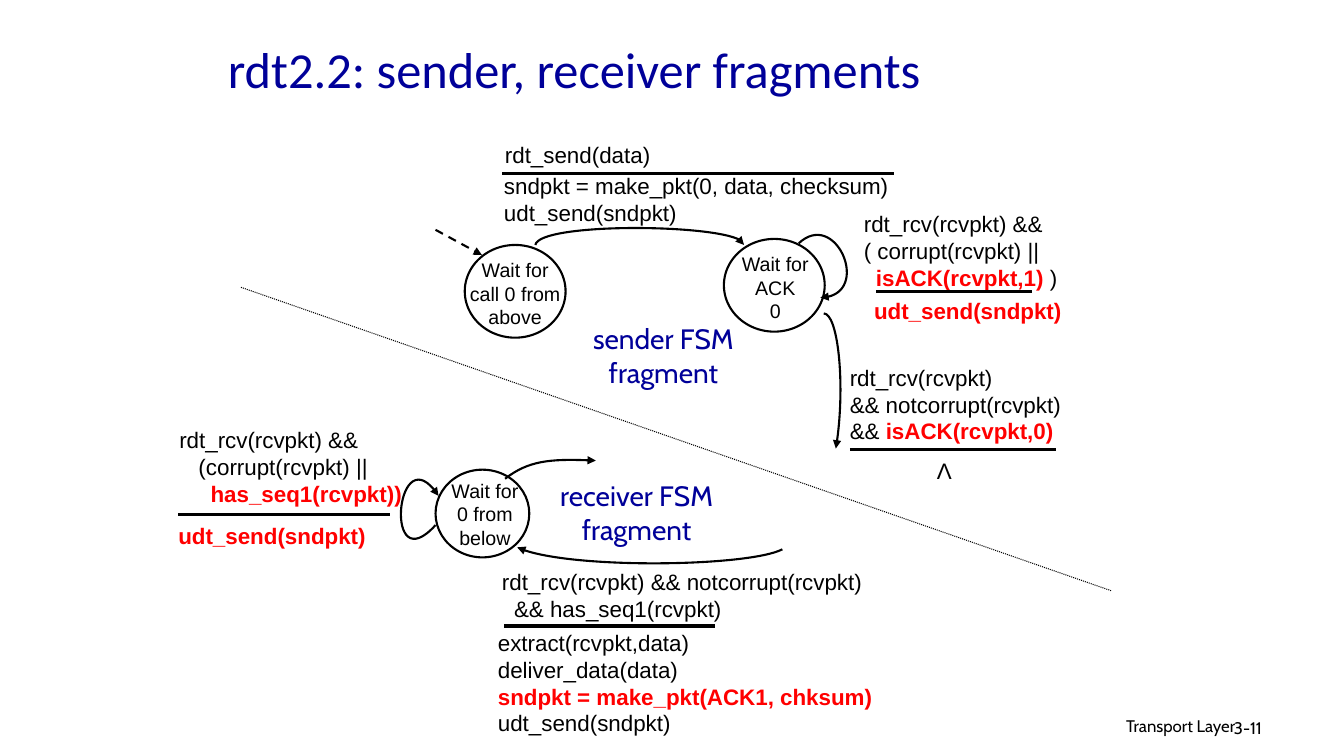
from lxml import etree
from pptx import Presentation
from pptx import util as u
from pptx.dml.color import RGBColor
from pptx.enum import dml, shapes, text
from pptx.oxml.ns import qn

PX = 9144  # EMU per px, 100 px to the inch
BLACK, WHITE, RED, NAVY = "000000", "FFFFFF", "FF0000", "000099"
LEFT, CENTER, RIGHT = text.PP_ALIGN.LEFT, text.PP_ALIGN.CENTER, text.PP_ALIGN.RIGHT


def px(*lengths):
    return [u.Emu(length * PX) for length in lengths]


def rgb(color):
    return RGBColor.from_string(color)


def write(frame, lines, size=16, font="Arial", color=BLACK, align=LEFT, indents=()):
    """Fill a frame line by line; parts between ** marks are bold red."""
    for index, line in enumerate(lines):
        paragraph = frame.paragraphs[0] if index == 0 else frame.add_paragraph()
        paragraph.alignment = align
        if index < len(indents):
            properties = paragraph._p.get_or_add_pPr()
            properties.set("marL", str(indents[index] * PX))
            properties.set("indent", "0")
        for position, part in enumerate(line.split("**")):
            if not part:
                continue
            marked = position % 2 == 1
            run = paragraph.add_run()
            run.text = part
            run.font.name = font
            run.font.size = u.Pt(size)
            run.font.bold = marked
            run.font.color.rgb = rgb(RED if marked else color)


def label(slide, box, lines, wrap=True, margin=10, **style):
    frame = slide.shapes.add_textbox(*px(*box)).text_frame
    frame.word_wrap = wrap
    frame.margin_left = frame.margin_right = px(margin)[0]
    write(frame, lines, **style)


def caption(slide, box, lines):
    label(slide, box, lines, wrap=False, size=20, font="Cabin", color=NAVY,
          align=CENTER)


def state(slide, circle, box, lines, margin=11):
    """Draw one FSM state with its name on top."""
    oval = slide.shapes.add_shape(shapes.MSO_SHAPE.OVAL, *px(*circle))
    oval.shadow.inherit = False
    oval.fill.solid()
    oval.fill.fore_color.rgb = rgb(WHITE)
    oval.line.color.rgb = rgb(BLACK)
    oval.line.width = u.Pt(1.5)
    label(slide, box, lines, margin=margin, size=14, align=CENTER)


def add_arrowhead(line, end="tailEnd"):
    etree.SubElement(line._get_or_add_ln(), qn("a:" + end), type="triangle")


def rule(slide, start, end, width=2.25, dash=None, arrow=False):
    connector = slide.shapes.add_connector(
        shapes.MSO_CONNECTOR.STRAIGHT, *px(*start, *end))
    connector.line.color.rgb = rgb(BLACK)
    connector.line.width = u.Pt(width)
    if dash:
        connector.line.dash_style = dash
    if arrow:
        add_arrowhead(connector.line)
    etree.SubElement(connector._element.spPr, qn("a:effectLst"))


def transition(slide, start, *controls, end="tailEnd", rotation=0):
    """Draw a curved arrow: one cubic Bezier from start through three points."""
    builder = slide.shapes.build_freeform(*start, scale=PX)
    builder.add_line_segments(controls, close=False)
    curve = builder.convert_to_shape()
    outline = next(curve._element.iter(qn("a:moveTo"))).getparent()
    bezier = etree.SubElement(outline, qn("a:cubicBezTo"))
    for segment in outline.findall(qn("a:lnTo")):
        bezier.append(segment[0])
        outline.remove(segment)
    curve.rotation = rotation
    curve.shadow.inherit = False
    curve.fill.background()
    curve.line.color.rgb = rgb(BLACK)
    curve.line.width = u.Pt(1.5)
    add_arrowhead(curve.line, end)


def add_title(slide):
    title = slide.shapes.title
    title.left, title.top, title.width, title.height = px(216, 19, 850, 97)
    title.text_frame.vertical_anchor = text.MSO_ANCHOR.MIDDLE
    write(title.text_frame, ["rdt2.2: sender, receiver fragments"],
          size=36, font="Calibri", color=NAVY)


def add_sender(slide):
    state(slide, (461, 243, 100, 92), (453, 251, 116, 67),
          ["Wait for call 0 from above"])
    state(slide, (718, 237, 100, 92), (711, 245, 116, 67), ["Wait for ACK", "0"])
    rule(slide, (432, 228), (478, 253), 1.5, dml.MSO_LINE.DASH, arrow=True)

    label(slide, (491, 135, 189, 31), ["rdt_send(data)"])
    rule(slide, (498, 172), (887, 172))
    label(slide, (490, 166, 407, 44),
          ["sndpkt = make_pkt(0, data, checksum)", "udt_send(sndpkt)"])
    transition(slide, (531, 243), (535, 221), (738, 222), (738, 243))

    label(slide, (847, 204, 297, 62),
          ["rdt_rcv(rcvpkt) &&", "( corrupt(rcvpkt) ||", "**isACK(rcvpkt,1)** )"],
          indents=(0, 0, 12))
    rule(slide, (869, 289), (1024, 289))
    label(slide, (857, 290, 232, 44), ["**udt_send(sndpkt)**"])
    transition(slide, (802, 230), (848, 213), (850, 307), (801, 288), rotation=337.4)

    label(slide, (833, 356, 264, 62),
          ["rdt_rcv(rcvpkt)", "&& notcorrupt(rcvpkt)", "&& **isACK(rcvpkt,0)**"])
    rule(slide, (843, 446), (1047, 446))
    label(slide, (916, 449, 41, 37), ["Λ"], align=CENTER)
    transition(slide, (829, 445), (839, 385), (831, 311), (817, 311), end="headEnd")
    caption(slide, (577, 314, 162, 77), ["sender FSM", "fragment"])


def add_receiver(slide):
    state(slide, (432, 466, 93, 87), (437, 470, 88, 67),
          ["Wait for", "0 from below"], margin=5)
    transition(slide, (501, 475), (524, 457), (549, 455), (591, 457))

    label(slide, (168, 418, 258, 70),
          ["rdt_rcv(rcvpkt) &&", "(corrupt(rcvpkt) ||", "**has_seq1(rcvpkt))**"],
          indents=(0, 19, 31))
    rule(slide, (177, 510), (387, 510))
    label(slide, (167, 513, 223, 45), ["**udt_send(sndpkt)**"])
    transition(slide, (432, 521), (381, 577), (393, 428), (435, 492))

    label(slide, (488, 559, 431, 62),
          ["rdt_rcv(rcvpkt) && notcorrupt(rcvpkt)", "&& has_seq1(rcvpkt)"],
          indents=(0, 12))
    rule(slide, (500, 621), (709, 621))
    label(slide, (484, 619, 457, 76),
          ["extract(rcvpkt,data)", "deliver_data(data)",
           "**sndpkt = make_pkt(ACK1, chksum)**", "udt_send(sndpkt)"])
    transition(slide, (513, 543), (559, 565), (743, 562), (776, 545), end="headEnd")
    caption(slide, (543, 470, 177, 77), ["receiver FSM", "fragment"])


def add_footer(slide):
    style = {"size": 12, "font": "Cabin"}
    label(slide, (813, 705, 422, 31), ["Transport Layer"], align=RIGHT, **style)
    label(slide, (1214, 707, 99, 30), ["3-11"], **style)


def main():
    deck = Presentation()
    deck.slide_width, deck.slide_height = px(1333, 750)
    slide = deck.slides.add_slide(deck.slide_layouts[5])
    add_title(slide)
    add_sender(slide)
    rule(slide, (239, 285), (1102, 586), 0.75, dml.MSO_LINE.ROUND_DOT)
    add_receiver(slide)
    add_footer(slide)
    deck.save("out.pptx")


if __name__ == "__main__":
    main()
